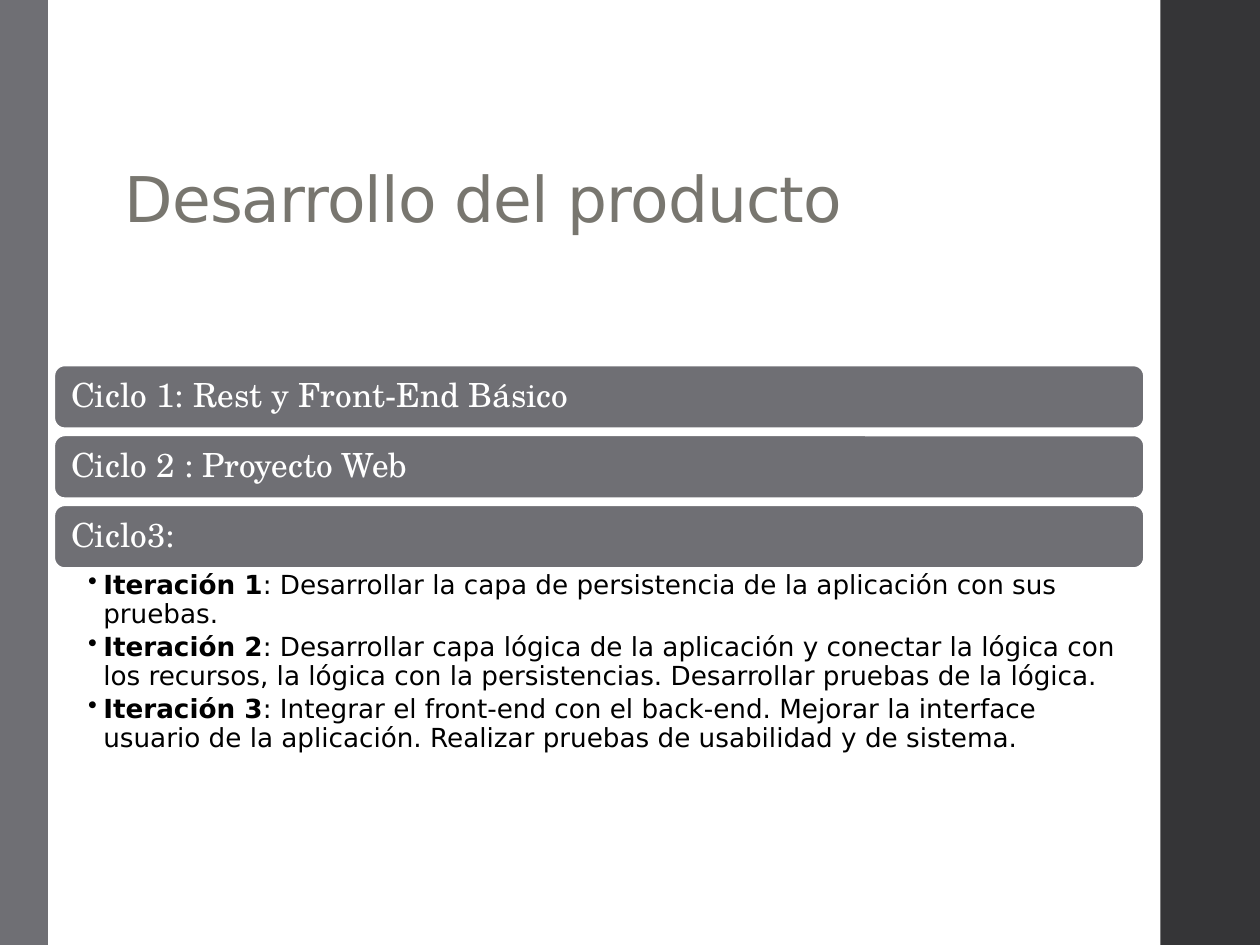
from dataclasses import dataclass

from lxml import etree
from pptx import Presentation
from pptx.dml.color import RGBColor
from pptx.enum.shapes import MSO_SHAPE
from pptx.enum.text import MSO_ANCHOR, PP_ALIGN
from pptx.oxml.ns import qn
from pptx.util import Inches, Pt

RECTANGLE = MSO_SHAPE.RECTANGLE
ROUNDED = MSO_SHAPE.ROUNDED_RECTANGLE
TOP, MIDDLE, BOTTOM = MSO_ANCHOR.TOP, MSO_ANCHOR.MIDDLE, MSO_ANCHOR.BOTTOM
LEFT = PP_ALIGN.LEFT


@dataclass(frozen=True)
class Theme:
    gray: str = "6F6F74"
    dark: str = "353537"
    title: str = "78766F"
    white: str = "FFFFFF"
    black: str = "000000"
    sans: str = "DejaVu Sans"
    serif: str = "TeX Gyre Schola"
    title_size: int = 36
    cycle_size: int = 19
    body_size: int = 15


class SlideBuilder:
    def __init__(self, slide, theme):
        self.slide = slide
        self.theme = theme

    def block(self, kind, box, color):
        shape = self.slide.shapes.add_shape(kind, *map(Inches, box))
        shape.shadow.inherit = False
        shape.fill.solid()
        shape.fill.fore_color.rgb = RGBColor.from_string(color)
        shape.line.fill.background()
        return shape

    def frame(self, shape, anchor, insets):
        frame = shape.text_frame
        frame.word_wrap = True
        frame.vertical_anchor = anchor
        (frame.margin_left, frame.margin_top,
         frame.margin_right, frame.margin_bottom) = map(Inches, insets)
        return frame

    def run(self, paragraph, text, font, size, color, bold=False):
        run = paragraph.add_run()
        run.text = text
        run.font.name = font
        run.font.size = Pt(size)
        run.font.bold = bold
        run.font.color.rgb = RGBColor.from_string(color)
        return run

    def title(self, text, box):
        shape = self.slide.shapes.add_textbox(*map(Inches, box))
        paragraph = self.frame(shape, BOTTOM, (0.1, 0.05, 0.1, 0)).paragraphs[0]
        paragraph.line_spacing = 0.85
        theme = self.theme
        run = self.run(paragraph, text, theme.sans, theme.title_size, theme.title)
        run.font._element.set("spc", "-50")

    def cycle(self, text, box):
        theme = self.theme
        shape = self.block(ROUNDED, box, theme.gray)
        shape.line.color.rgb = RGBColor.from_string(theme.white)
        shape.line.width = Pt(1.1)
        paragraph = self.frame(shape, MIDDLE, (0.11, 0.1, 0.11, 0.1)).paragraphs[0]
        paragraph.alignment = LEFT
        paragraph.line_spacing = 0.9
        self.run(paragraph, text, theme.serif, theme.cycle_size, theme.white)

    def bullets(self, items, box):
        theme = self.theme
        shape = self.slide.shapes.add_textbox(*map(Inches, box))
        frame = self.frame(shape, TOP, (0.27, 0.03, 0.15, 0.03))
        for index, (label, text) in enumerate(items):
            paragraph = frame.add_paragraph() if index else frame.paragraphs[0]
            properties = paragraph._p.get_or_add_pPr()
            properties.set("marL", str(Inches(0.12)))
            properties.set("indent", str(-Inches(0.12)))
            etree.SubElement(properties, qn("a:buChar")).set("char", "•")
            paragraph.line_spacing = 0.9
            paragraph.space_after = Pt(3)
            self.run(paragraph, label, theme.sans, theme.body_size, theme.black, True)
            self.run(paragraph, text, theme.sans, theme.body_size, theme.black)


def main():
    presentation = Presentation()
    presentation.slide_width = Inches(10)
    presentation.slide_height = Inches(7.5)
    theme = Theme()
    slide = presentation.slides.add_slide(presentation.slide_layouts[6])
    builder = SlideBuilder(slide, theme)

    builder.block(RECTANGLE, (9.21, 0, 0.79, 7.5), theme.dark)
    builder.block(RECTANGLE, (0, 0, 0.38, 7.5), theme.gray)
    builder.title("Desarrollo del producto", (0.89, -2.55, 7.72, 4.42))

    left, top, width, height, pitch = 0.43, 2.9, 8.65, 0.5, 0.555
    cycles = ["Ciclo 1: Rest y Front-End Básico", "Ciclo 2 : Proyecto Web", "Ciclo3:"]
    for index, text in enumerate(cycles):
        builder.cycle(text, (left, top + index * pitch, width, height))

    builder.bullets([
        ("Iteración 1", ": Desarrollar la capa de persistencia de la aplicación "
         "con sus pruebas."),
        ("Iteración 2", ": Desarrollar capa lógica de la aplicación y conectar la "
         "lógica con los recursos, la lógica con la persistencias. "
         "Desarrollar pruebas de la lógica."),
        ("Iteración 3", ": Integrar el front-end con el back-end. Mejorar la "
         "interface usuario de la aplicación. Realizar pruebas de usabilidad "
         "y de sistema."),
    ], (left, 4.51, width, 1.55))

    presentation.save("out.pptx")


if __name__ == "__main__":
    main()
